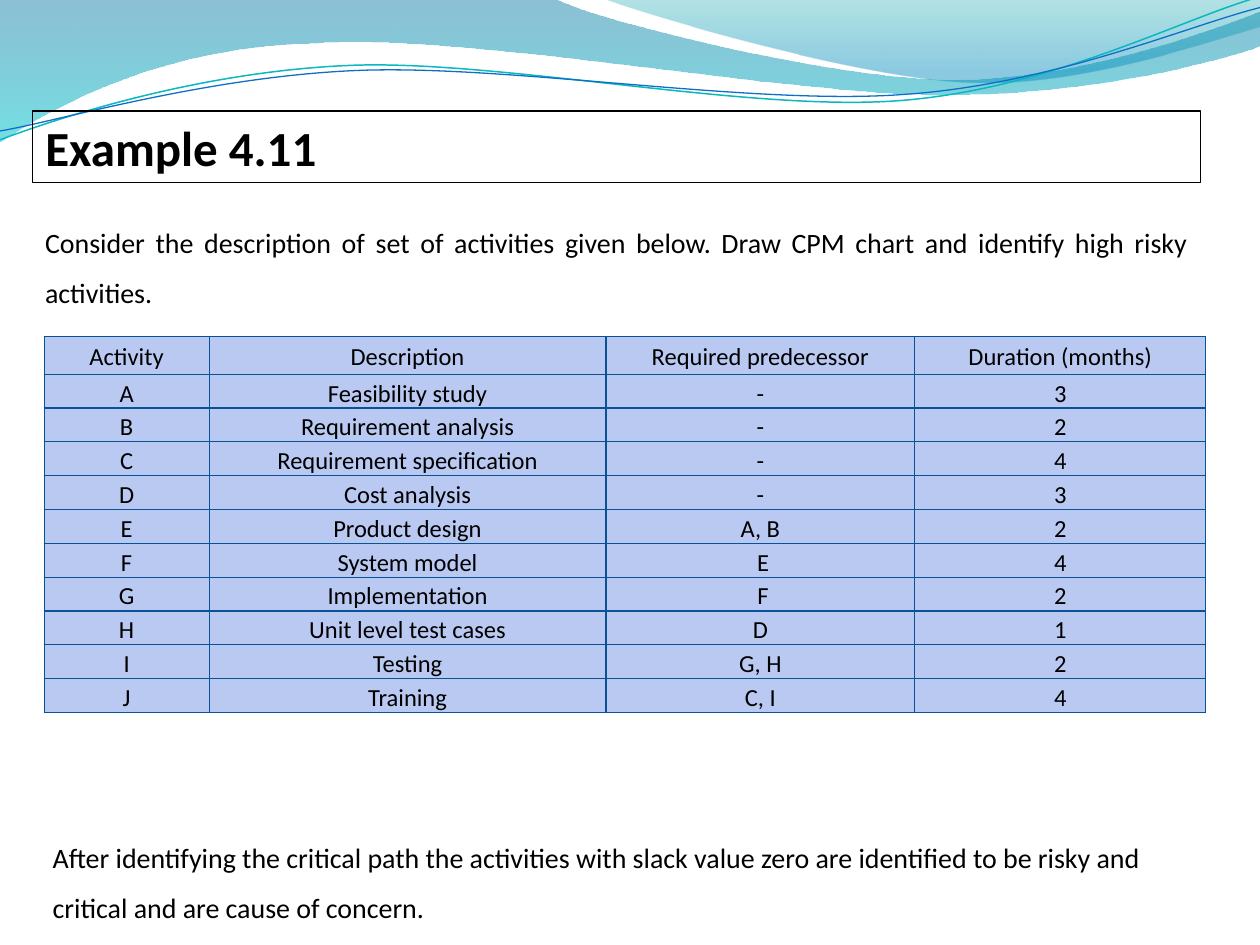
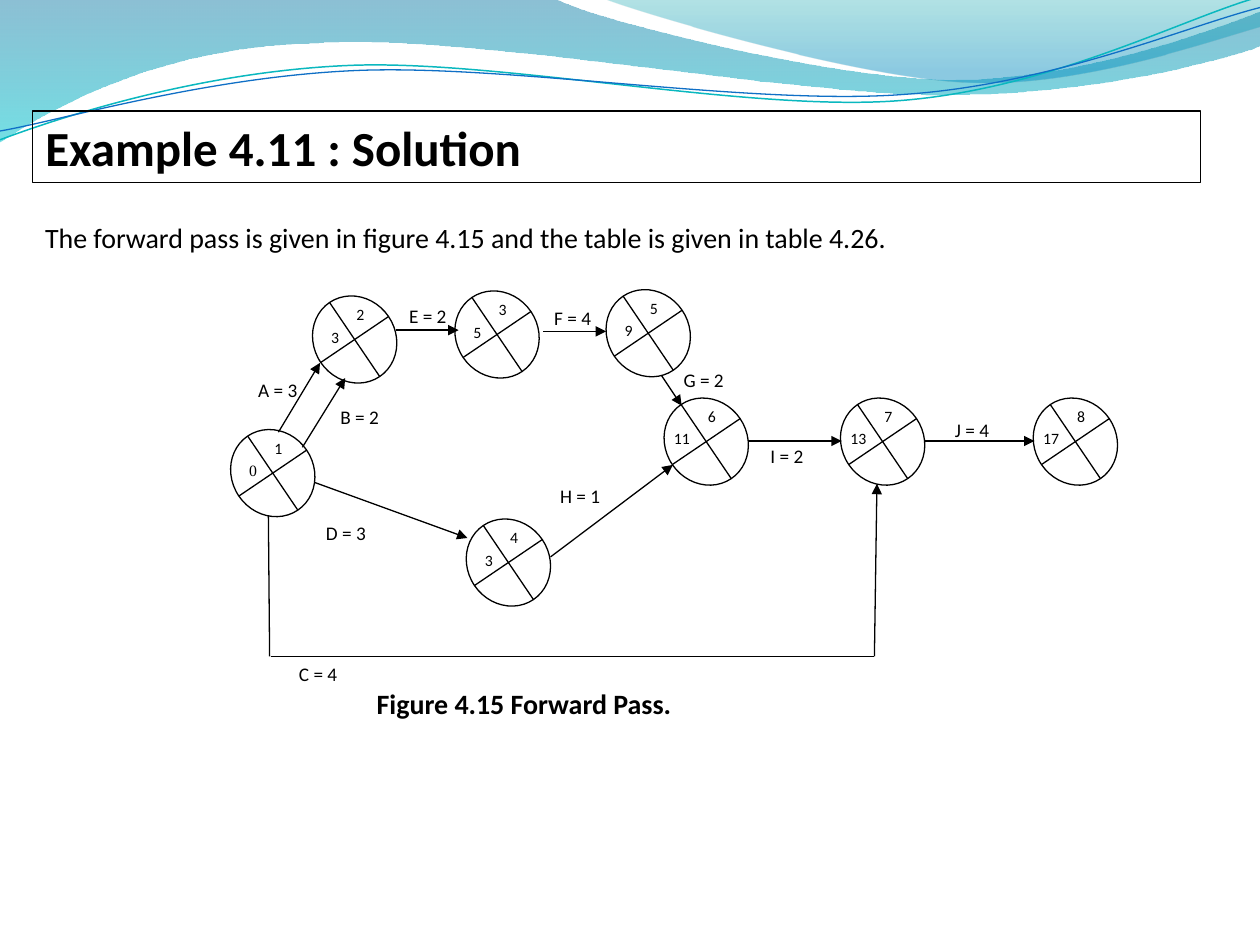
from dataclasses import dataclass

from lxml.etree import SubElement
from pptx import Presentation
from pptx.dml.color import RGBColor
from pptx.enum.shapes import MSO_CONNECTOR, MSO_SHAPE
from pptx.enum.text import MSO_ANCHOR, PP_ALIGN
from pptx.oxml.ns import qn
from pptx.util import Pt

EMU_PER_PX = 9144  # 100 px to the inch
FONT = "Calibri"
BLACK, WHITE = "000000", "FFFFFF"
CELL_FILL, CELL_BORDER = "BAC9F2", "095295"
THIN = 0.75

Point = tuple[int, int]
Box = tuple[int, int, int, int]


@dataclass
class Band:
    """Filled wave; a segment holds one point (line) or three (Bezier curve)."""
    start: Point
    segments: list[list[Point]]
    stops: list[tuple[float, str, int]]  # position, colour, opacity %


@dataclass
class Wave:
    start: Point
    segments: list[list[Point]]
    color: str
    width: float


@dataclass
class Node:
    x: int
    y: int
    number: str
    earliest: str
    earliest_font: str = FONT


@dataclass
class Label:
    x: int
    y: int
    text: str


@dataclass
class Link:
    start: Point
    end: Point
    arrow: bool = True


BANDS = [
    Band((0, 0), [[(440, -1)],
                  [(476, 17), (664, 63), (758, 63)],
                  [(853, 63), (958, 26), (1000, 9)],
                  [(1001, 36)],
                  [(983, 44), (870, 76), (746, 75)],
                  [(622, 75), (382, 28), (257, 34)],
                  [(129, 36), (46, 83), (-1, 113)],
                  [(0, 0)]],
         [(0, "0074A1", 45), (1, "00C6CF", 55)]),
    Band((479, -1), [[(509, 11), (682, 62), (769, 65)],
                     [(856, 69), (961, 32), (1000, 21)],
                     [(1000, 0)],
                     [(479, -1)]],
         [(0, "00A1A9", 30), (0.8, "008BBF", 45)]),
]
WAVES = [
    Wave((0, 111), [[(48, 93), (158, 57), (277, 52)],
                    [(395, 47), (593, 89), (713, 80)],
                    [(833, 71), (938, 15), (998, -2)]], "0AB8BF", 0.85),
    Wave((0, 104), [[(47, 96), (164, 61), (283, 56)],
                    [(403, 51), (597, 84), (717, 75)],
                    [(836, 67), (941, 21), (1000, 6)]], "0F6FC6", THIN),
]

COLUMN_WIDTHS = [131, 315, 245, 231]
HEADER_HEIGHT, ROW_HEIGHT = 30, 26
ACTIVITIES = [
    ("Activity", "Description", "Required predecessor", "Duration (months)"),
    ("A", "Feasibility study", " - ", "3"),
    ("B", "Requirement analysis", " - ", "2"),
    ("C", "Requirement specification", "-", "4"),
    ("D", "Cost analysis", "-", "3"),
    ("E", "Product design", "A, B", "2"),
    ("F", "System model", " E", "4"),
    ("G", "Implementation", " F", "2"),
    ("H", "Unit level test cases", "D", "1"),
    ("I", "Testing", "G, H", "2"),
    ("J", "Training", "C, I", "4"),
]

NODES = [
    Node(249, 234, "2", "3"),
    Node(184, 340, "1", "0", "Times New Roman"),
    Node(371, 411, "4", "3"),
    Node(482, 229, "5", "9"),
    Node(362, 230, "3", "5"),
    Node(668, 315, "7", "13"),
    Node(821, 315, "8", "17"),
    Node(528, 315, "6", "11"),
]
LABELS = [
    Label(533, 293, "G = 2"), Label(195, 301, "A = 3"),
    Label(599, 353, "I = 2"), Label(429, 244, "F = 4"),
    Label(314, 242, "E = 2"), Label(260, 322, "B = 2"),
    Label(435, 385, "H = 1"), Label(249, 414, "D = 3"),
    Label(746, 333, "J = 4"), Label(227, 526, "C = 4"),
]
LINKS = [
    Link((221, 343), (254, 288)),
    Link((250, 383), (371, 427)),
    Link((437, 442), (534, 369)),
    Link((525, 298), (541, 322)),
    Link((594, 350), (668, 350)),
    Link((733, 350), (821, 350)),
    Link((314, 262), (364, 262)),
    Link((431, 263), (481, 263)),
    Link((213, 409), (214, 521), arrow=False),
    Link((215, 521), (694, 521), arrow=False),
    Link((694, 521), (696, 384)),
    Link((240, 355), (274, 300)),
]


def rgb(color: str) -> RGBColor:
    return RGBColor.from_string(color)


def emu(values) -> list[int]:
    return [v * EMU_PER_PX for v in values]


def style_text(tf, text: str, size: float, bold: bool = False, font: str = FONT,
               align=PP_ALIGN.LEFT, anchor=MSO_ANCHOR.TOP, spacing: float = 1.0) -> None:
    tf.text = text
    tf.word_wrap = True
    tf.vertical_anchor = anchor
    p = tf.paragraphs[0]
    p.alignment = align
    p.line_spacing = spacing
    f = p.runs[0].font
    f.name, f.size, f.bold = font, Pt(size), bold
    f.color.rgb = rgb(BLACK)


def add_text(shapes, box: Box, text: str, size: float, **style) -> None:
    style_text(shapes.add_textbox(*emu(box)).text_frame, text, size, **style)


def set_line(line, color: str, width: float = THIN) -> None:
    line.color.rgb = rgb(color)
    line.width = Pt(width)


def add_outline(slide, start: Point, segments: list[list[Point]], close: bool):
    """Build a freeform, turning each three-point segment into a cubic curve."""
    builder = slide.shapes.build_freeform(*start, scale=EMU_PER_PX)
    builder.add_line_segments([p for segment in segments for p in segment], close=close)
    sp = builder.convert_to_shape()
    sp.shadow.inherit = False
    steps = iter(list(sp.element.iter(qn("a:lnTo"))))
    for segment in segments:
        first, *others = [next(steps) for _ in segment]
        if others:
            first.tag = qn("a:cubicBezTo")
        for step in others:
            first.append(step[0])
            step.getparent().remove(step)
    return sp


def add_band(slide, band: Band):
    sp = add_outline(slide, band.start, band.segments, close=True)
    sp.fill.gradient()
    sp.fill.gradient_angle = 270
    for stop, (position, color, _) in zip(sp.fill.gradient_stops, band.stops):
        stop.position = position
        stop.color.rgb = rgb(color)
    for clr, (_, _, opacity) in zip(sp.element.iter(qn("a:srgbClr")), band.stops):
        SubElement(clr, qn("a:alpha"), val=str(opacity * 1000))
    sp.line.fill.background()
    return sp


def add_wave(slide, wave: Wave):
    sp = add_outline(slide, wave.start, wave.segments, close=False)
    sp.fill.background()
    set_line(sp.line, wave.color, wave.width)
    return sp


def decorate_layout(slide) -> None:
    """Build the waves on a slide, then move them behind its layout's placeholders."""
    shapes = [add_band(slide, b) for b in BANDS] + [add_wave(slide, w) for w in WAVES]
    tree = slide.slide_layout.shapes.element
    for i, sp in enumerate(shapes, start=2):
        tree.insert(i, sp.element)


def add_titled_slide(prs, title: str):
    s = prs.slides.add_slide(prs.slide_layouts[5])
    sp = s.shapes.title
    sp.left, sp.top, sp.width, sp.height = emu((26, 88, 927, 57))
    set_line(sp.line, BLACK)
    style_text(sp.text_frame, title, 28, bold=True)
    return s


def set_borders(cell) -> None:
    props = cell._tc.get_or_add_tcPr()
    for i, side in enumerate(("lnL", "lnR", "lnT", "lnB")):
        ln = props.makeelement(qn(f"a:{side}"), {"w": str(Pt(THIN))})
        fill = SubElement(ln, qn("a:solidFill"))
        SubElement(fill, qn("a:srgbClr"), val=CELL_BORDER)
        props.insert(i, ln)


def add_activity_table(slide, x: int, y: int) -> None:
    heights = [HEADER_HEIGHT] + [ROW_HEIGHT] * (len(ACTIVITIES) - 1)
    box = (x, y, sum(COLUMN_WIDTHS), sum(heights))
    table = slide.shapes.add_table(len(heights), len(COLUMN_WIDTHS), *emu(box)).table
    for column, width in zip(table.columns, emu(COLUMN_WIDTHS)):
        column.width = width
    for row, height, texts in zip(table.rows, emu(heights), ACTIVITIES):
        row.height = height
        for cell, text in zip(row.cells, texts):
            cell.margin_left = cell.margin_right = 7 * EMU_PER_PX
            cell.margin_top = cell.margin_bottom = 0
            style_text(cell.text_frame, text, 14, align=PP_ALIGN.CENTER, spacing=1.15)
            cell.vertical_anchor = MSO_ANCHOR.MIDDLE
            cell.fill.solid()
            cell.fill.fore_color.rgb = rgb(CELL_FILL)
            set_borders(cell)


def add_white_shape(shapes, kind, box: Box):
    sp = shapes.add_shape(kind, *emu(box))
    sp.shadow.inherit = False
    sp.fill.solid()
    sp.fill.fore_color.rgb = rgb(WHITE)
    return sp


def add_label(slide, label: Label) -> None:
    sp = add_white_shape(slide.shapes, MSO_SHAPE.RECTANGLE, (label.x, label.y, 51, 17))
    sp.line.fill.background()
    tf = sp.text_frame
    tf.margin_left = tf.margin_right = tf.margin_top = tf.margin_bottom = 0
    style_text(tf, label.text, 11, align=PP_ALIGN.CENTER, anchor=MSO_ANCHOR.MIDDLE)


def add_node(slide, node: Node) -> None:
    shapes = slide.shapes.add_group_shape().shapes
    sp = add_white_shape(shapes, MSO_SHAPE.FLOWCHART_OR, (node.x, node.y, 65, 71))
    sp.rotation = 325.9
    set_line(sp.line, BLACK)
    add_text(shapes, (node.x + 24, node.y + 3, 24, 23), node.number, 9)
    dx, dy, width = (4, 21, 24) if len(node.earliest) == 1 else (-3, 20, 35)
    add_text(shapes, (node.x + dx, node.y + dy, width, 23), node.earliest, 9,
             font=node.earliest_font)


def add_link(slide, link: Link) -> None:
    line = slide.shapes.add_connector(MSO_CONNECTOR.STRAIGHT, *emu(link.start + link.end))
    set_line(line.line, BLACK)
    if link.arrow:
        SubElement(line.line._get_or_add_ln(), qn("a:tailEnd"), type="triangle")
    SubElement(line.element.spPr, qn("a:effectLst"))


def build_example(prs) -> None:
    s = add_titled_slide(prs, "Example 4.11")
    decorate_layout(s)
    add_text(s.shapes, (32, 650, 927, 87),
             "After identifying the critical path the activities with slack value zero "
             "are identified to be risky and critical and are cause of concern.",
             16, anchor=MSO_ANCHOR.MIDDLE, spacing=1.5)
    add_activity_table(s, 35, 267)
    add_text(s.shapes, (26, 162, 927, 87),
             "Consider the description of set of activities given below. "
             "Draw CPM chart and identify high risky activities.",
             16, align=PP_ALIGN.JUSTIFY, anchor=MSO_ANCHOR.MIDDLE, spacing=1.5)


def build_solution(prs) -> None:
    s = add_titled_slide(prs, "Example 4.11 : Solution")
    add_text(s.shapes, (26, 170, 927, 37),
             "The forward pass is given in figure 4.15 and the table is given in table 4.26.",
             16, anchor=MSO_ANCHOR.MIDDLE)
    for draw, items in ((add_label, LABELS), (add_node, NODES), (add_link, LINKS)):
        for item in items:
            draw(s, item)
    add_text(s.shapes, (171, 540, 490, 37), "Figure 4.15 Forward Pass.", 16,
             bold=True, align=PP_ALIGN.CENTER)


def main() -> None:
    prs = Presentation()
    prs.slide_width, prs.slide_height = emu((1000, 750))
    build_example(prs)
    build_solution(prs)
    prs.save("out.pptx")


if __name__ == "__main__":
    main()
